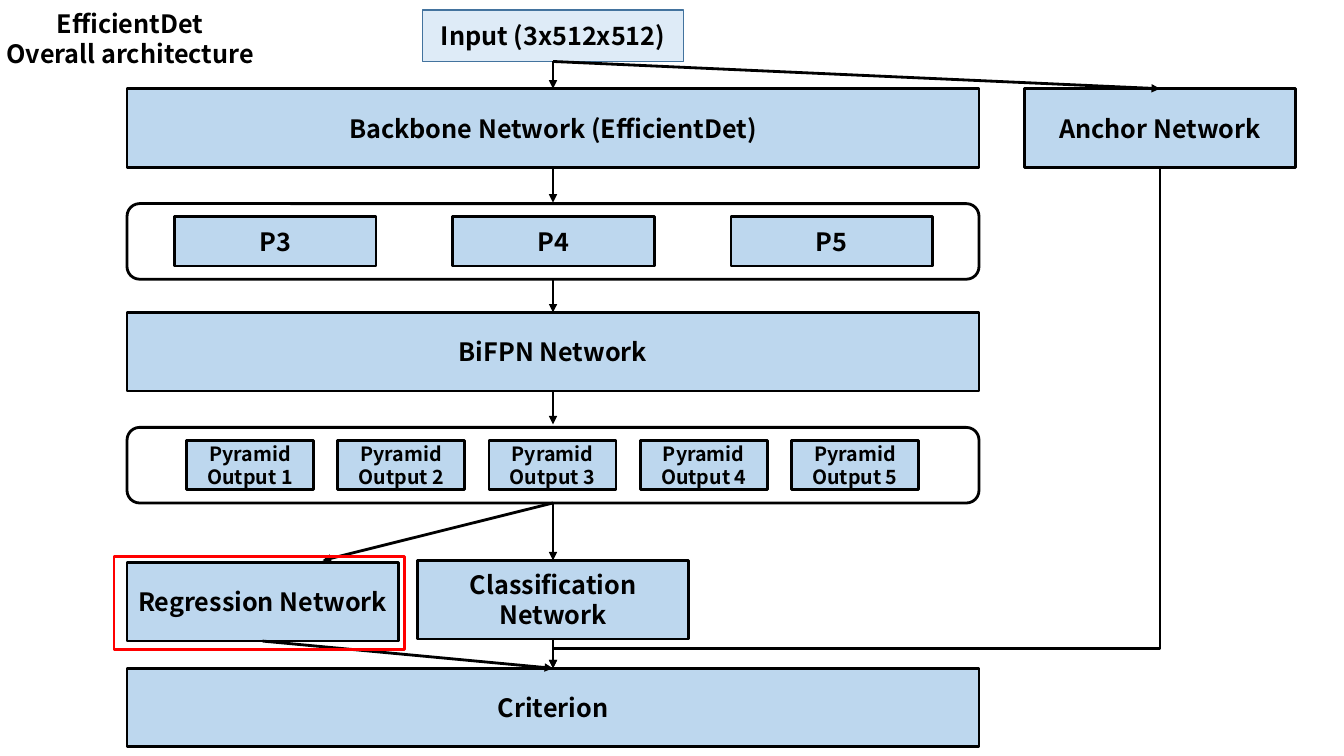
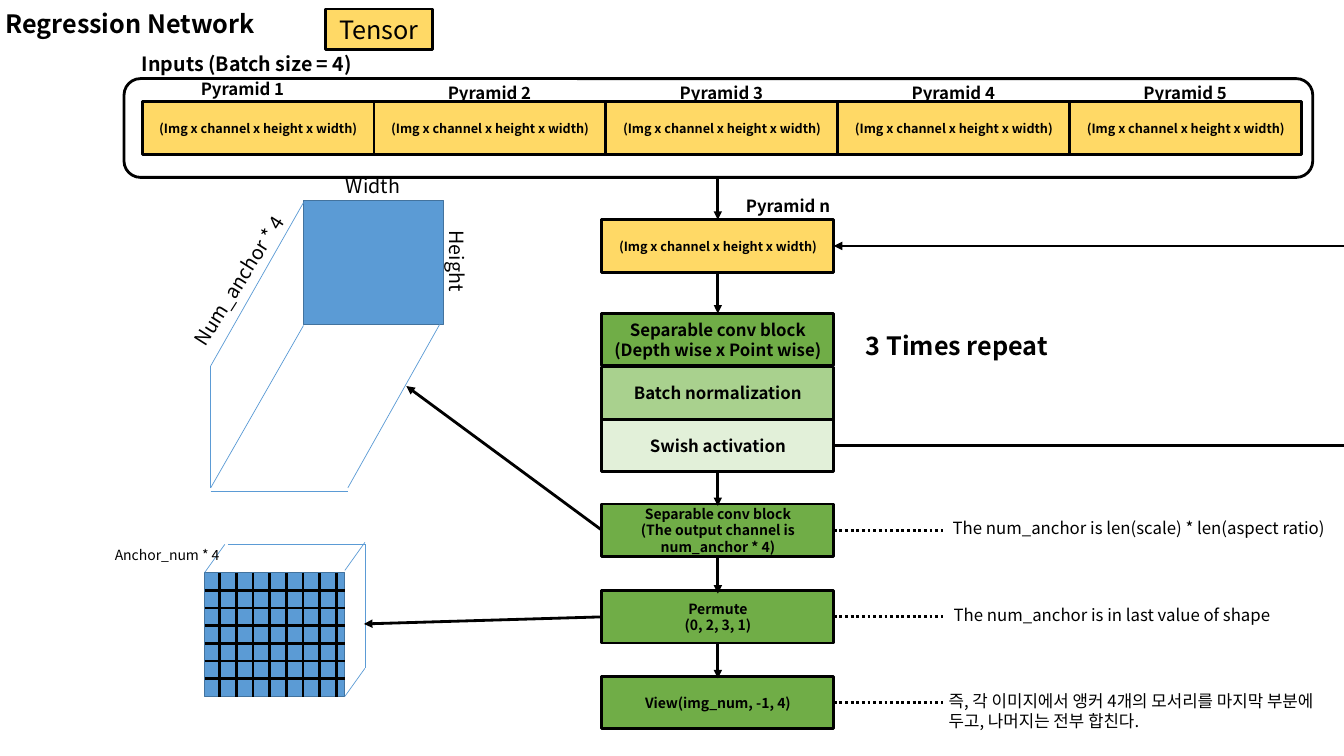
import lxml.etree
import pptx
import pptx.dml.color
import pptx.enum.dml
import pptx.enum.shapes
import pptx.enum.text
import pptx.oxml.ns
import pptx.util

# Shared look; the grid has one column and one row per inch
COLUMNS, ROWS = 13.33, 7.5
FONT = "Noto Sans CJK KR"
BLACK, RED = "000000", "FF0000"
SKY, PALE_SKY, BLUE, DARK_BLUE = "BDD7EE", "DEEBF7", "5B9BD5", "43739E"
YELLOW = "FFD966"
GREEN, MID_GREEN, PALE_GREEN = "70AD47", "A9D18E", "E2F0D9"
TITLE_LEFT, TITLE_TOP, TITLE_WIDTH = -0.8, 0.03, 4.18

SHAPE = pptx.enum.shapes.MSO_SHAPE
CONNECTOR = pptx.enum.shapes.MSO_CONNECTOR
ALIGN = pptx.enum.text.PP_ALIGN
ANCHOR = pptx.enum.text.MSO_ANCHOR
TENSOR_SHAPE = "(Img x channel x height x width)"


def color(hex_string):
    return pptx.dml.color.RGBColor.from_string(hex_string)


def place(*lengths):
    return [pptx.util.Inches(length) for length in lengths]


def add_element(parent, tag, **attributes):
    return lxml.etree.SubElement(parent, pptx.oxml.ns.qn(tag), attributes)


def apply_format(target, values):
    for name, value in values.items():
        setattr(target, name, value)


def write(frame, text, size, bold=True, align=ALIGN.CENTER, anchor=ANCHOR.TOP):
    """Fill a text frame, one paragraph per line of text."""
    apply_format(frame, {
        "word_wrap": True,
        "auto_size": pptx.enum.text.MSO_AUTO_SIZE.NONE,
        "vertical_anchor": anchor,
    })
    for index, line in enumerate(text.split("\n")):
        para = frame.add_paragraph() if index else frame.paragraphs[0]
        para.alignment = align
        span = para.add_run()
        span.text = line
        apply_format(span.font, {"size": pptx.util.Pt(size), "bold": bold, "name": FONT})
        span.font.color.rgb = color(BLACK)
        add_element(span.font._element, "a:ea", typeface=FONT)


def add_box(shapes, at, text="", size=18, fill=SKY, line=BLACK, weight=2,
            kind=SHAPE.RECTANGLE, bold=True):
    box = shapes.add_shape(kind, *place(*at))
    box.shadow.inherit = False
    if fill:
        box.fill.solid()
        box.fill.fore_color.rgb = color(fill)
    else:
        box.fill.background()
    box.line.color.rgb = color(line)
    box.line.width = pptx.util.Pt(weight)
    if text:
        write(box.text_frame, text, size, bold, anchor=ANCHOR.MIDDLE)
    return box


def add_label(shapes, at, text, size, bold=False, align=ALIGN.CENTER, rotation=0):
    label = shapes.add_textbox(*place(*at))
    label.rotation = rotation
    write(label.text_frame, text, size, bold, align)


def add_line(shapes, start, end, line=BLACK, weight=2, arrow=False, dotted=False,
             kind=CONNECTOR.STRAIGHT):
    connector = shapes.add_connector(kind, *place(*start, *end))
    connector.line.color.rgb = color(line)
    connector.line.width = pptx.util.Pt(weight)
    if dotted:
        connector.line.dash_style = pptx.enum.dml.MSO_LINE.ROUND_DOT
    if arrow:
        add_element(connector.line._get_or_add_ln(), "a:tailEnd", type="triangle")
    add_element(connector._element.spPr, "a:effectLst")
    return connector


def add_arrow(shapes, start, end):
    add_line(shapes, start, end, arrow=True)


def add_down_elbow(shapes, start, end, bend):
    """Arrow that goes down, left and down; bend is the share of height at the turn."""
    middle_x, middle_y = (start[0] + end[0]) / 2, (start[1] + end[1]) / 2
    half_width, half_height = abs(end[1] - start[1]) / 2, abs(end[0] - start[0]) / 2
    elbow = add_line(shapes, (middle_x - half_width, middle_y - half_height),
                     (middle_x + half_width, middle_y + half_height),
                     arrow=True, kind=CONNECTOR.ELBOW)
    properties = elbow._element.spPr
    properties.find(pptx.oxml.ns.qn("a:xfrm")).set("rot", str(90 * 60000))
    guides = properties.find(pptx.oxml.ns.qn("a:prstGeom")).get_or_add_avLst()
    add_element(guides, "a:gd", name="adj1", fmla=f"val {round(bend * 100000)}")


def add_titled_page(deck, title, height):
    page = deck.slides.add_slide(deck.slide_layouts[5])
    holder = page.shapes.title
    left, top, width, height = place(TITLE_LEFT, TITLE_TOP, TITLE_WIDTH, height)
    apply_format(holder, {"left": left, "top": top, "width": width, "height": height})
    write(holder.text_frame, title, 18)
    return page.shapes


def build_architecture(deck):
    shapes = add_titled_page(deck, "EfficientDet\nOverall architecture", 0.71)
    left, width, height = 1.26, 8.45, 0.78
    axis = left + width / 2
    branch_width, anchor_left = 2.69, 10.16
    anchor_axis = anchor_left + branch_width / 2

    # Full-width stages, input and anchor branch
    for top, name in ((0.88, "Backbone Network (EfficientDet)"),
                      (3.1, "BiFPN Network"), (6.63, "Criterion")):
        add_box(shapes, (left, top, width, height), name)
    add_box(shapes, (4.19, 0.1, 2.59, 0.51), "Input (3x512x512)",
            fill=PALE_SKY, line=DARK_BLUE, weight=1)
    for branch_left, top, name in ((left, 5.58, "Regression Network"),
                                   (4.14, 5.56, "Classification Network"),
                                   (anchor_left, 0.88, "Anchor Network")):
        add_box(shapes, (branch_left, top, branch_width, height), name)

    # Rows of feature maps, each in a rounded frame
    levels = ["P3", "P4", "P5"]
    outputs = [f"Pyramid Output {number}" for number in range(1, 6)]
    for top, names, size, first, step, item_width in (
            (2.02, levels, 18, 1.73, 2.76, 2), (4.24, outputs, 14, 1.85, 1.5, 1.26)):
        group = shapes.add_group_shape().shapes
        add_box(group, (left, top, width, 0.75), fill=None, kind=SHAPE.ROUNDED_RECTANGLE)
        for index, name in enumerate(names):
            add_box(group, (first + index * step, top + 0.13, item_width, 0.49), name, size)

    # Flow
    for start, end in ((0.61, 0.88), (1.68, 2.01), (2.77, 3.1), (3.88, 4.21),
                       (4.99, 5.56), (6.34, 6.63)):
        add_arrow(shapes, (axis, start), (axis, end))
    add_arrow(shapes, (axis, 4.99), (3.2, 5.56))
    add_arrow(shapes, (left + branch_width / 2, 6.36), (axis, 6.63))
    add_arrow(shapes, (axis, 0.61), (anchor_axis, 0.88))
    add_down_elbow(shapes, (anchor_axis, 1.66), (axis, 6.63), 0.96)

    # Highlight of the branch shown on the next slide
    add_box(shapes, (1.13, 5.52, 2.88, 0.92), fill=None, line=RED)


def draw_inputs(shapes, width, height):
    add_box(shapes, (1.23, 0.78, 11.79, 0.98), fill=None, kind=SHAPE.ROUNDED_RECTANGLE)
    add_label(shapes, (1.27, 0.47, 2.36, 0.34), "Inputs (Batch size = 4)", 14, bold=True)
    add_box(shapes, (3.23, 0.09, 1.06, 0.4), "Tensor", fill=YELLOW, bold=False)
    for index in range(5):
        left = 1.41 + index * width
        add_box(shapes, (left, 1.01, width, height), TENSOR_SHAPE, 9, YELLOW)
        label_left, label_top = (left + 0.32, 0.77) if index else (1.58, 0.73)
        add_label(shapes, (label_left, label_top, 1.65, 0.3),
                  f"Pyramid {index + 1}", 12, bold=True)


def draw_flow(shapes, left, width, height):
    axis, right = left + width / 2, left + width
    for top, text, size, fill in (
            (2.18, TENSOR_SHAPE, 9, YELLOW),
            (3.11, "Separable conv block\n(Depth wise x Point wise)", 12, GREEN),
            (3.64, "Batch normalization", 12, MID_GREEN),
            (4.16, "Swish activation", 12, PALE_GREEN),
            (5, "Separable conv block\n(The output channel is num_anchor * 4)", 10, GREEN),
            (5.86, "Permute\n(0, 2, 3, 1)", 10, GREEN),
            (6.71, "View(img_num, -1, 4)", 10, GREEN)):
        add_box(shapes, (left, top, width, height), text, size, fill)
    for start, end in ((1.76, 2.18), (2.7, 3.11), (4.68, 5.02), (5.54, 5.89), (6.39, 6.73)):
        add_arrow(shapes, (axis, start), (axis, end))
    add_label(shapes, (6.99, 1.89, 1.65, 0.3), "Pyramid n", 12, bold=True)

    # Repeat loop through the slide's right edge
    add_line(shapes, (right, 4.42), (COLUMNS, 4.42))
    add_arrow(shapes, (COLUMNS, 2.44), (right, 2.44))
    add_label(shapes, (8.31, 3.23, 2.36, 0.4), "3 Times repeat", 18, bold=True)

    # Remarks beside the last three steps
    for middle, note_left, note in (
            (5.26, 9.35, "The num_anchor is len(scale) * len(aspect ratio)"),
            (6.12, 9.36, "The num_anchor is in last value of shape"),
            (6.97, 9.31, "즉, 각 이미지에서 앵커 4개의 모서리를 마지막 부분에 두고, 나머지는 전부 합친다.")):
        add_line(shapes, (right, middle), (9.35, middle), dotted=True)
        add_label(shapes, (note_left, middle - 0.17, 4.02, 0.3), note, 12, align=ALIGN.LEFT)


def draw_edges(shapes, edges):
    for start, end in edges:
        add_line(shapes, start, end, BLUE, 0.5)


def draw_output_volume(shapes, width, height):
    add_box(shapes, (3.01, 1.99, width, height), fill=BLUE, line=DARK_BLUE, weight=1)
    draw_edges(shapes, (((3.01, 2.01), (2.09, 3.63)), ((3.01, 3.23), (2.09, 4.84)),
                        ((4.36, 3.22), (3.45, 4.84)), ((2.09, 3.63), (2.09, 4.84)),
                        ((2.09, 4.87), (3.45, 4.87))))
    add_label(shapes, (1.61, 2.52, 1.77, 0.57), "Num_anchor * 4", 14,
              align=ALIGN.LEFT, rotation=302.5)
    add_label(shapes, (3.2, 1.68, 1, 0.34), "Width", 14)
    add_label(shapes, (4.03, 2.42, 1, 0.34), "Height", 14, rotation=90)


def draw_permuted_volume(shapes, width, height):
    left, top = 2.03, 5.68
    right, bottom = left + width, top + height
    add_box(shapes, (left, top, width, height), fill=BLUE, line=DARK_BLUE, weight=1)
    for row in range(1, 7):
        y = top + row * height / 7
        add_line(shapes, (left, y), (right, y))
    for column in range(8):
        x = left + 0.15 + column * 0.165
        add_line(shapes, (x, top), (x, bottom))
    draw_edges(shapes, (((left, top), (2.23, 5.4)), ((right, 5.66), (3.62, 5.38)),
                        ((right, bottom), (3.62, 6.63)), ((2.26, 5.4), (3.62, 5.4)),
                        ((3.62, 5.4), (3.62, 6.63))))
    add_label(shapes, (1.04, 5.37, 1.33, 0.27), "Anchor_num * 4", 10, align=ALIGN.LEFT)


def build_regression(deck):
    shapes = add_titled_page(deck, "Regression Network", 0.4)
    step_left, step_width, step_height = 5.97, 2.3, 0.52
    draw_inputs(shapes, step_width, step_height)
    draw_flow(shapes, step_left, step_width, step_height)

    # Tensor volumes and the steps that make them
    face = (1.39, 1.23)
    draw_output_volume(shapes, *face)
    draw_permuted_volume(shapes, *face)
    add_arrow(shapes, (step_left, 5.26), (4.03, 3.83))
    add_arrow(shapes, (step_left, 6.12), (3.61, 6.19))


def main():
    deck = pptx.Presentation()
    deck.slide_width, deck.slide_height = place(COLUMNS, ROWS)
    build_architecture(deck)
    build_regression(deck)
    deck.save("out.pptx")


if __name__ == "__main__":
    main()
